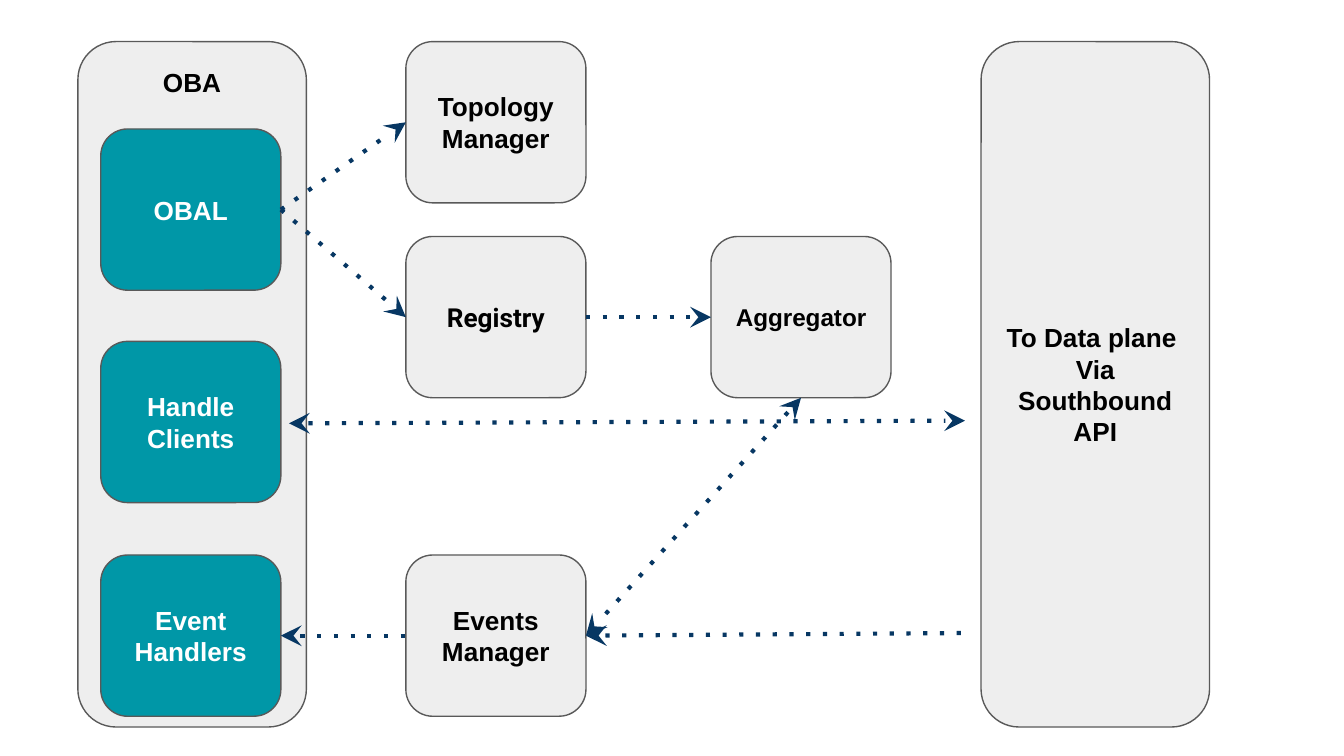
from lxml import etree
from pptx import Presentation
from pptx.dml.color import RGBColor
from pptx.enum.dml import MSO_LINE
from pptx.enum.shapes import MSO_CONNECTOR, MSO_SHAPE
from pptx.enum.text import MSO_ANCHOR, PP_ALIGN
from pptx.oxml.ns import qn
from pptx.util import Inches, Pt

ROUNDED = MSO_SHAPE.ROUNDED_RECTANGLE
STRAIGHT = MSO_CONNECTOR.STRAIGHT
DOTTED = MSO_LINE.ROUND_DOT
TOP, MIDDLE = MSO_ANCHOR.TOP, MSO_ANCHOR.MIDDLE
CENTER = PP_ALIGN.CENTER
LEFT_SIDE, BOTTOM_SIDE, RIGHT_SIDE = 1, 2, 3  # connection sites

GRAY, TEAL, NAVY = "EEEEEE", "0097A7", "073763"
BLACK, WHITE, OUTLINE = "000000", "FFFFFF", "595959"

BOX_SIZE = (1.34, 1.2)
PANEL_SIZE = (1.7, 5.1)
TOP_ROW, REGISTRY_ROW, EVENTS_ROW = 0.31, 1.76, 4.13
OBA_COLUMN, MANAGER_COLUMN, AGGREGATOR_COLUMN = 0.75, 3.02, 5.29


def rgb(value):
    return RGBColor.from_string(value)


def write_text(frame, text, size=14, font="Arial", color=BLACK, anchor=MIDDLE):
    frame.word_wrap = True
    frame.vertical_anchor = anchor
    frame.margin_left = frame.margin_right = Inches(0.1)
    frame.margin_top = frame.margin_bottom = Inches(0.1)
    frame.text = text
    for paragraph in frame.paragraphs:
        paragraph.alignment = CENTER
        for run in paragraph.runs:
            run.font.name = font
            run.font.size = Pt(size)
            run.font.bold = True
            run.font.color.rgb = rgb(color)


def add_box(slide, text, left, top, box_size=BOX_SIZE, fill=GRAY, **text_format):
    width, height = box_size
    shape = slide.shapes.add_shape(
        ROUNDED, Inches(left), Inches(top), Inches(width), Inches(height))
    shape.shadow.inherit = False
    shape.fill.solid()
    shape.fill.fore_color.rgb = rgb(fill)
    shape.line.color.rgb = rgb(OUTLINE)
    shape.line.width = Pt(0.75)
    write_text(shape.text_frame, text, **text_format)
    return shape


def add_arrow(slide, start, end, heads):
    """Each end is a point in inches or a (shape, connection site) pair.

    heads lists "headEnd" (at start) and/or "tailEnd" (at end), in that order.
    """
    connector = slide.shapes.add_connector(STRAIGHT, 0, 0, 0, 0)
    if isinstance(start[0], float):
        connector.begin_x, connector.begin_y = map(Inches, start)
    else:
        connector.begin_connect(*start)
    if isinstance(end[0], float):
        connector.end_x, connector.end_y = map(Inches, end)
    else:
        connector.end_connect(*end)
    connector.line.color.rgb = rgb(NAVY)
    connector.line.width = Pt(2.25)
    connector.line.dash_style = DOTTED
    properties = connector._element.spPr.find(qn("a:ln"))
    properties.find(qn("a:prstDash")).set("val", "dot")
    for head in heads:
        etree.SubElement(properties, qn("a:" + head),
                         type="stealth", w="lg", len="lg")
    etree.SubElement(connector._element.spPr, qn("a:effectLst"))


def main():
    presentation = Presentation()
    presentation.slide_width = Inches(10)
    presentation.slide_height = Inches(10) * 9 // 16
    slide = presentation.slides.add_slide(presentation.slide_layouts[6])

    add_box(slide, "OBA", 0.58, TOP_ROW, PANEL_SIZE, anchor=TOP)
    registry = add_box(slide, "Registry", MANAGER_COLUMN, REGISTRY_ROW,
                       font="Roboto")
    aggregator = add_box(slide, "Aggregator", AGGREGATOR_COLUMN, REGISTRY_ROW,
                         size=13)
    topology = add_box(slide, "Topology Manager", MANAGER_COLUMN, TOP_ROW)
    events = add_box(slide, "Events Manager", MANAGER_COLUMN, EVENTS_ROW)
    handlers, _, obal = [
        add_box(slide, text, OBA_COLUMN, top, fill=TEAL, color=WHITE)
        for text, top in (("Event Handlers", EVENTS_ROW),
                          ("Handle Clients", 2.54),
                          ("OBAL", 0.96))]

    one_way, reverse, both = ["tailEnd"], ["headEnd"], ["headEnd", "tailEnd"]
    for start, end, heads in (
        ((obal, RIGHT_SIDE), (registry, LEFT_SIDE), one_way),
        ((obal, RIGHT_SIDE), (topology, LEFT_SIDE), one_way),
        ((registry, RIGHT_SIDE), (aggregator, LEFT_SIDE), one_way),
        ((aggregator, BOTTOM_SIDE), (events, RIGHT_SIDE), both),
        ((handlers, RIGHT_SIDE), (events, LEFT_SIDE), reverse),
    ):
        add_arrow(slide, start, end, heads)

    add_box(slide, "To Data plane \nVia\nSouthbound\nAPI", 7.3, TOP_ROW, PANEL_SIZE)
    add_arrow(slide, (2.15, 3.15), (7.18, 3.13), both)
    add_arrow(slide, (events, RIGHT_SIDE), (7.22, 4.71), reverse)

    presentation.save("out.pptx")


if __name__ == "__main__":
    main()
